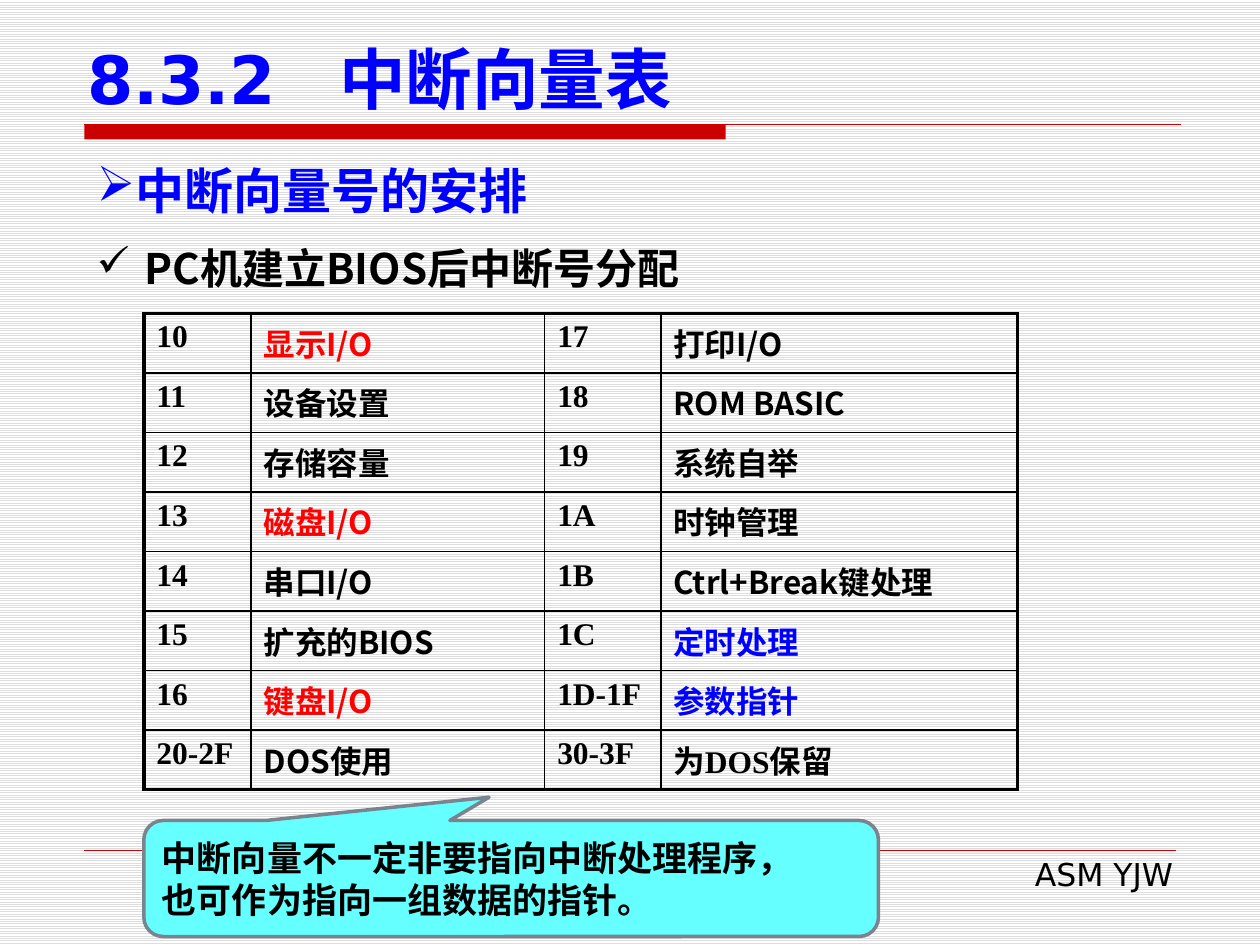
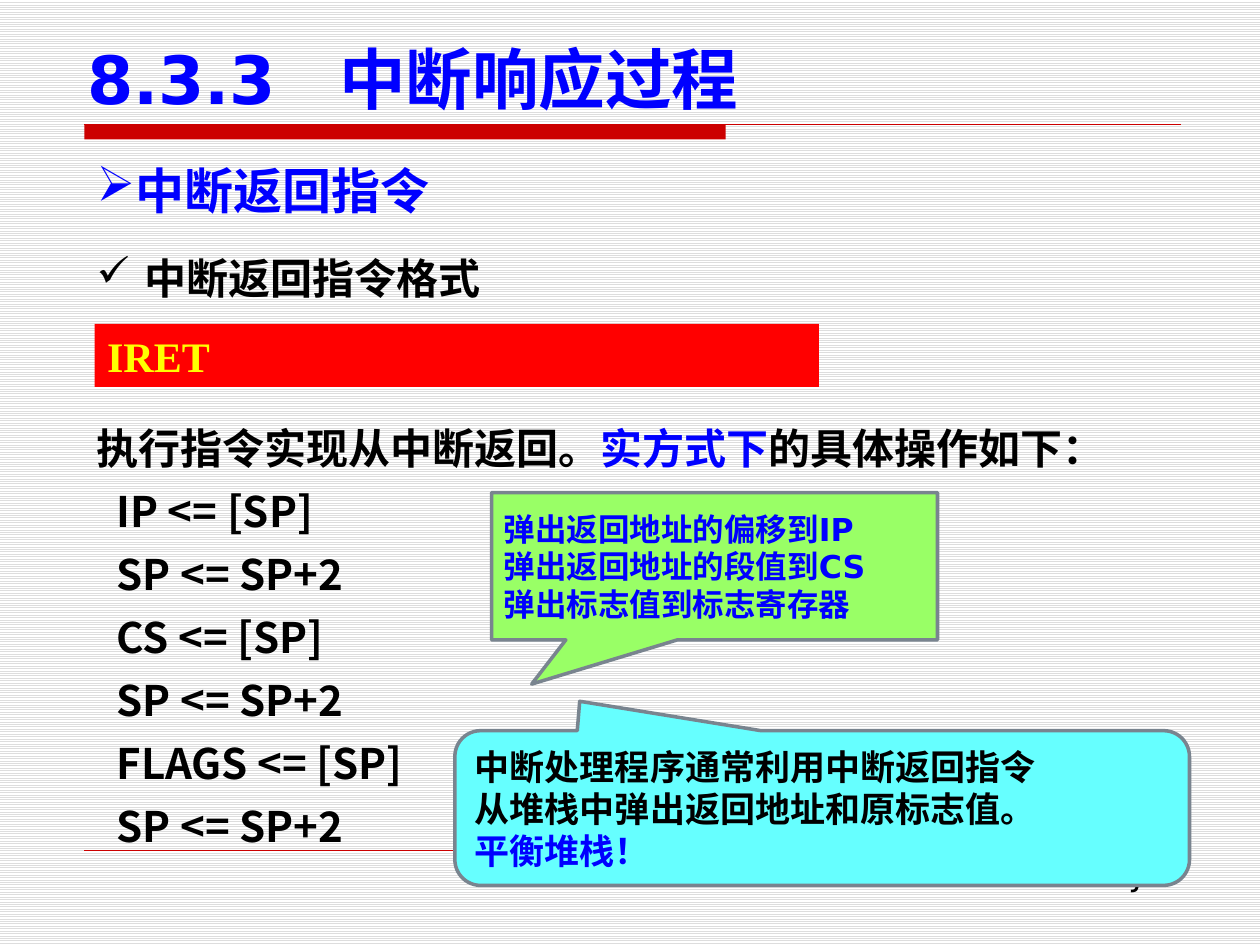
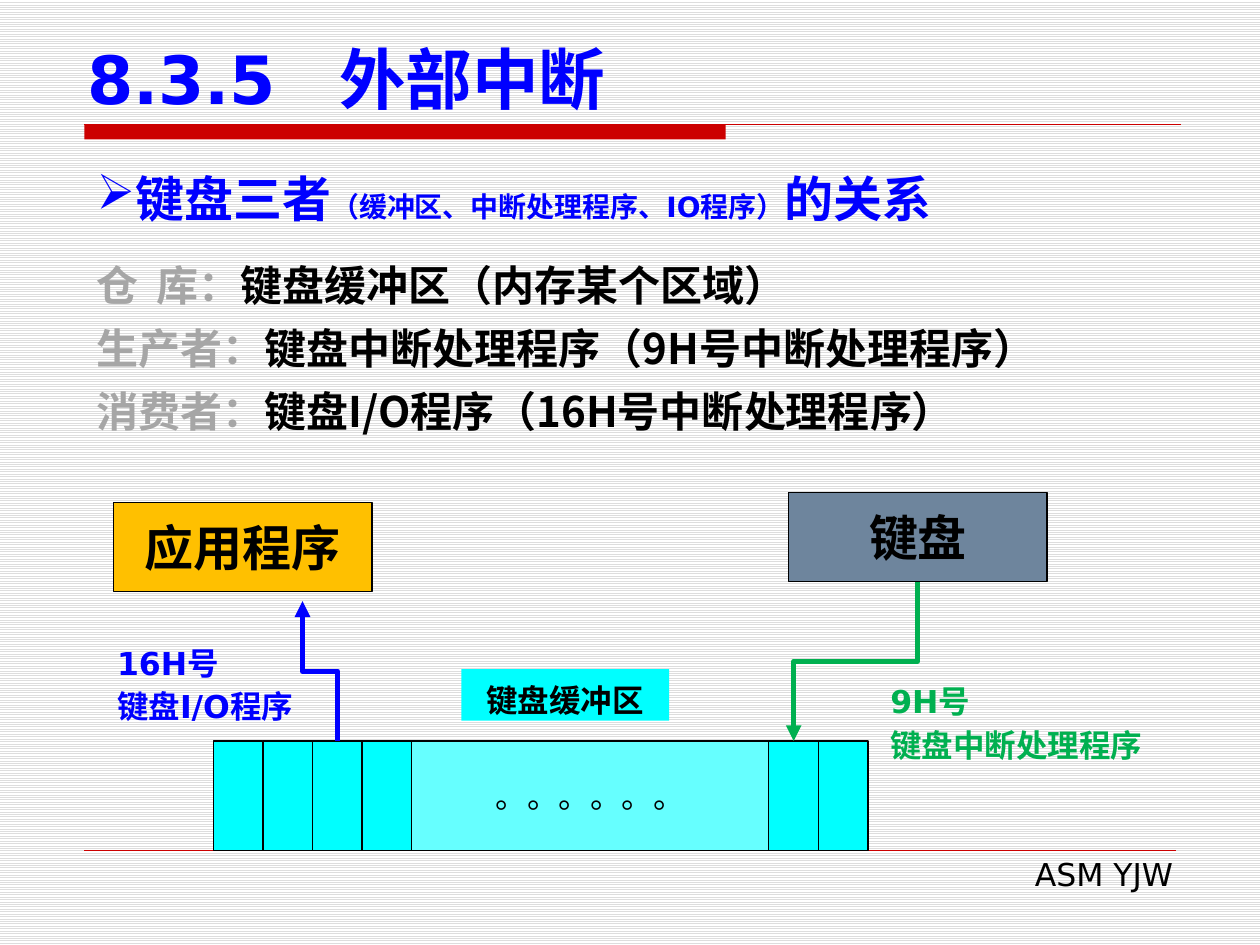
from lxml.etree import SubElement
from pptx import Presentation
from pptx.dml.color import RGBColor
from pptx.enum.dml import MSO_PATTERN
from pptx.enum.shapes import MSO_CONNECTOR, MSO_SHAPE
from pptx.enum.text import MSO_ANCHOR, MSO_AUTO_SIZE, PP_ALIGN
from pptx.oxml.ns import qn
from pptx.util import Cm, Pt

COLORS = {
    "black": "000000", "white": "FFFFFF", "blue": "0000FF", "red": "FF0000",
    "band": "CC0000", "stripe": "DDDDDD", "yellow": "FFFF00", "gray": "A6A6A6",
    "green": "00B050", "lime": "99FF66", "aqua": "66FFFF", "cyan": "00FFFF",
    "orange": "FFC000", "slate": "6E859D", "edge": "79848F",
}
RGB = {name: RGBColor.from_string(value) for name, value in COLORS.items()}
SANS, CJK, SERIF = "DejaVu Sans", "Noto Sans CJK SC", "Times New Roman"


def add_box(slide, preset, place, fill=None, line=None, line_width=0.75):
    """Add a preset shape, or a text box when preset is None; place is in cm."""
    place = [Cm(value) for value in place]
    if preset is None:
        return slide.shapes.add_textbox(*place)
    box = slide.shapes.add_shape(preset, *place)
    box.shadow.inherit = False
    box.fill.solid()
    box.fill.fore_color.rgb = RGB[fill]
    if line:
        box.line.color.rgb = RGB[line]
        box.line.width = Pt(line_width)
    else:
        box.line.fill.background()
    return box


def write(frame, lines, size, color="black", font=SANS, bold=True, align=PP_ALIGN.LEFT,
          spacing=None, anchor=MSO_ANCHOR.TOP, bullet=None, hang=0):
    """Write the lines as paragraphs; a | splits a line into runs."""
    frame.word_wrap = True
    frame.vertical_anchor = anchor
    for number, line in enumerate(lines):
        paragraph = frame.paragraphs[0] if number == 0 else frame.add_paragraph()
        paragraph.alignment = align
        if spacing:
            paragraph.line_spacing = Pt(spacing)
        if bullet:
            props = paragraph._p.get_or_add_pPr()
            props.set("marL", str(Cm(hang)))
            props.set("indent", str(-Cm(hang)))
            SubElement(props, qn("a:buChar")).set("char", bullet)
        for piece in line.split("|"):
            run = paragraph.add_run()
            run.text = piece
            run.font.size = Pt(size)
            run.font.bold = bold
            run.font.name = font
            run.font.color.rgb = RGB[color]
            SubElement(run._r.get_or_add_rPr(), qn("a:ea")).set("typeface", CJK)
    return frame.paragraphs


prs = Presentation()
prs.slide_width, prs.slide_height = Cm(25.4), Cm(19.05)

# Shared frame: background, title, rules, footer and heading
slides = []
for title, heading, heading_top in [
    ("8.3.2\t中断向量表", "中断向量号的安排", 3.12),
    ("8.3.3\t中断响应过程", "中断返回指令", 3.12),
    ("8.3.5\t外部中断", "键盘三者|（缓冲区、中断处理程序、IO程序）|的关系", 3.28),
]:
    slide = prs.slides.add_slide(prs.slide_layouts[5])
    slides.append(slide)
    background = slide.background.fill
    background.patterned()
    background.pattern = MSO_PATTERN.LIGHT_HORIZONTAL
    background.fore_color.rgb = RGB["stripe"]
    background.back_color.rgb = RGB["white"]

    add_box(slide, MSO_SHAPE.RECTANGLE, (1.7, 2.51, 12.93, 0.3), "band")
    for y, right, width in [(2.51, 23.8, 0.75), (17.15, 23.7, 0.25)]:
        rule = slide.shapes.add_connector(MSO_CONNECTOR.STRAIGHT, Cm(1.7), Cm(y), Cm(right), Cm(y))
        rule.line.color.rgb = RGB["band"]
        rule.line.width = Pt(width)
        SubElement(rule._element.spPr, qn("a:effectLst"))
    footer = add_box(slide, None, (9.7, 17.12, 14.2, 1.02))
    write(footer.text_frame, ["ASM YJW"], 18, bold=False, align=PP_ALIGN.RIGHT)

    heading_title = slide.shapes.title
    heading_title.left, heading_title.top = Cm(1.5), Cm(0.71)
    heading_title.width, heading_title.height = Cm(23.01), Cm(1.8)
    heading_title.text_frame.auto_size = MSO_AUTO_SIZE.NONE
    title_line = write(heading_title.text_frame, [title], 38, "blue", anchor=MSO_ANCHOR.BOTTOM)[0]
    tabs = SubElement(title_line._p.get_or_add_pPr(), qn("a:tabLst"))
    SubElement(tabs, qn("a:tab"), pos=str(Cm(5.08)), algn="l")

    topic = add_box(slide, None, (1.7, heading_top, 22, 1.45))
    topic_line = write(topic.text_frame, [heading], 28, "blue",
                       align=PP_ALIGN.JUSTIFY, bullet="➢")[0]
    for aside in topic_line.runs[1:2]:
        aside.font.size = Pt(16)

vectors, iret, keyboard = slides

# Check-marked subheadings
for slide, text, top in [(vectors, "PC机建立BIOS后中断号分配", 4.52),
                         (iret, "中断返回指令格式", 4.72)]:
    subheading = add_box(slide, None, (1.7, top, 22, 1.4))
    write(subheading.text_frame, [text], 24, font=CJK, spacing=36, bullet="✓", hang=0.97)

# Slide 1: interrupt number table
assignments = [
    ("10", "显示I/O", "17", "打印I/O"),
    ("11", "设备设置", "18", "ROM BASIC"),
    ("12", "存储容量", "19", "系统自举"),
    ("13", "磁盘I/O", "1A", "时钟管理"),
    ("14", "串口I/O", "1B", "Ctrl+Break键处理"),
    ("15", "扩充的BIOS", "1C", "定时处理"),
    ("16", "键盘I/O", "1D-1F", "参数指针"),
    ("20-2F", "DOS使用", "30-3F", "为DOS保留"),
]
highlights = {"显示I/O": "red", "磁盘I/O": "red", "键盘I/O": "red",
              "定时处理": "blue", "参数指针": "blue"}
column_widths = [2.16, 5.92, 2.34, 7.19]
last_row, last_column = len(assignments) - 1, len(column_widths) - 1
table = vectors.shapes.add_table(len(assignments), len(column_widths), Cm(2.9), Cm(6.32),
                                 Cm(sum(column_widths)), Cm(9.6)).table
table.first_row = table.horz_banding = False
for column, width in zip(table.columns, column_widths):
    column.width = Cm(width)
for r, entries in enumerate(assignments):
    table.rows[r].height = Cm(1.2)
    for c, entry in enumerate(entries):
        cell = table.cell(r, c)
        font = SERIF if c % 2 == 0 or entry == "为DOS保留" else CJK
        write(cell.text_frame, [entry], 18, highlights.get(entry, "black"), font)
        cell.fill.background()
        # Thick outer frame, thin inner lines
        cell_props = cell._tc.get_or_add_tcPr()
        outer_sides = {"lnL": c == 0, "lnR": c == last_column, "lnT": r == 0, "lnB": r == last_row}
        for position, (side, outer) in enumerate(outer_sides.items()):
            border = SubElement(cell_props, qn(f"a:{side}"), w=str(Pt(2.25 if outer else 1)))
            SubElement(SubElement(border, qn("a:solidFill")), qn("a:srgbClr"), val=COLORS["black"])
            cell_props.insert(position, border)

# Callouts on slides 1 and 2
callouts = [
    (vectors, MSO_SHAPE.ROUNDED_RECTANGULAR_CALLOUT, (2.9, 16.54, 14.81, 2.34), "aqua",
     (-0.03, -0.7), ["中断向量不一定非要指向中断处理程序，", "也可作为指向一组数据的指针。"],
     20, "black", CJK),
    (iret, MSO_SHAPE.RECTANGULAR_CALLOUT, (9.91, 9.93, 8.99, 2.97), "lime", (-0.41, 0.8),
     ["弹出返回地址的偏移到IP", "弹出返回地址的段值到CS", "弹出标志值到标志寄存器"],
     18, "blue", SANS),
    (iret, MSO_SHAPE.ROUNDED_RECTANGULAR_CALLOUT, (9.17, 14.73, 14.81, 3.12), "aqua",
     (-0.33, -0.69),
     ["中断处理程序通常利用中断返回指令", "从堆栈中弹出返回地址和原标志值。", "平衡堆栈！"],
     20, "black", CJK),
]

# Slide 2: instruction and its operations
instruction = add_box(iret, MSO_SHAPE.RECTANGLE, (1.91, 6.53, 14.6, 1.27), "red")
write(instruction.text_frame, ["IRET"], 24, "yellow", SERIF)
operations = add_box(iret, None, (1.7, 8.13, 22, 9.25))
steps = write(operations.text_frame, [
    "执行指令实现从中断返回。|实方式下|的具体操作如下：",
    "IP <= [SP]", "SP <= SP+2", "CS <= [SP]", "SP <= SP+2", "FLAGS <= [SP]", "SP <= SP+2",
], 24, font=CJK, spacing=36)
steps[0].runs[1].font.color.rgb = RGB["blue"]
for step in steps[1:]:
    step._p.get_or_add_pPr().set("marL", str(Cm(0.4)))

for slide, preset, place, fill, tip, lines, size, color, font in callouts:
    callout = add_box(slide, preset, place, fill, "edge", 2)
    callout.adjustments[0], callout.adjustments[1] = tip
    remark = write(callout.text_frame, lines, size, color, font, anchor=MSO_ANCHOR.MIDDLE)
    if lines[-1] == "平衡堆栈！":
        remark[-1].runs[0].font.color.rgb = RGB["blue"]

# Slide 3: program and device
for name, left, top, fill in [("应用程序", 2.29, 10.13, "orange"), ("键盘", 15.9, 9.93, "slate")]:
    party = add_box(keyboard, MSO_SHAPE.RECTANGLE, (left, top, 5.21, 1.8), fill, "black")
    write(party.text_frame, [name], 28, align=PP_ALIGN.CENTER, anchor=MSO_ANCHOR.MIDDLE)

# Buffer cells: four, a wide gap, then two
buffer_left, buffer_top, buffer_height, gap_width = 4.3, 14.94, 2.2, 7.2
for width in [1, 1, 1, 1, gap_width, 1, 1]:
    fill = "aqua" if width == gap_width else "cyan"
    slot = add_box(keyboard, MSO_SHAPE.RECTANGLE,
                   (buffer_left, buffer_top, width, buffer_height), fill, "black")
    if width == gap_width:
        write(slot.text_frame, ["。。。。。。"], 18, bold=False,
              align=PP_ALIGN.CENTER, anchor=MSO_ANCHOR.MIDDLE)
    buffer_left += width

# Elbow arrows, laid out sideways and turned to leave vertically
for x1, y1, x2, y2, color in [(6.81, buffer_top, 6.1, 12.12, "blue"),
                              (18.49, 11.73, 16, buffer_top, "green")]:
    middle_x, middle_y = (x1 + x2) / 2, (y1 + y2) / 2
    half_rise, half_run = (y2 - y1) / 2, (x1 - x2) / 2
    flow = keyboard.shapes.add_connector(
        MSO_CONNECTOR.ELBOW, Cm(middle_x - half_rise), Cm(middle_y - half_run),
        Cm(middle_x + half_rise), Cm(middle_y + half_run))
    flow._element.spPr.find(qn("a:xfrm")).set("rot", str(90 * 60000))
    flow.line.color.rgb = RGB[color]
    flow.line.width = Pt(3)
    SubElement(flow.line._get_or_add_ln(), qn("a:tailEnd"), type="triangle")
    SubElement(flow._element.spPr, qn("a:effectLst"))

# Arrow and buffer labels
for place, lines, color in [
    ((2.11, 12.73, 4.8, 1.96), ["16H号", "键盘I/O程序"], "blue"),
    ((17.7, 13.51, 6.4, 2.03), ["9H号", "键盘中断处理程序"], "green"),
]:
    routine = add_box(keyboard, None, place)
    write(routine.text_frame, lines, 18, color, spacing=25)
buffer_label = add_box(keyboard, MSO_SHAPE.RECTANGLE, (9.3, 13.49, 4.19, 1.04), "cyan")
write(buffer_label.text_frame, ["键盘缓冲区"], 18, align=PP_ALIGN.CENTER, spacing=25)

# Roles
roles = add_box(keyboard, None, (1.7, 4.85, 22, 4.11))
role_lines = write(roles.text_frame, [
    "仓\t库：|键盘缓冲区（内存某个区域）",
    "生产者：|键盘中断处理程序（9H号中断处理程序）",
    "消费者：|键盘I/O程序（16H号中断处理程序）",
], 24, font=CJK, spacing=36)
for role_line in role_lines:
    role_line.runs[0].font.color.rgb = RGB["gray"]
tabs = SubElement(role_lines[0]._p.get_or_add_pPr(), qn("a:tabLst"))
SubElement(tabs, qn("a:tab"), pos=str(Cm(1.2)), algn="l")

prs.save("out.pptx")
